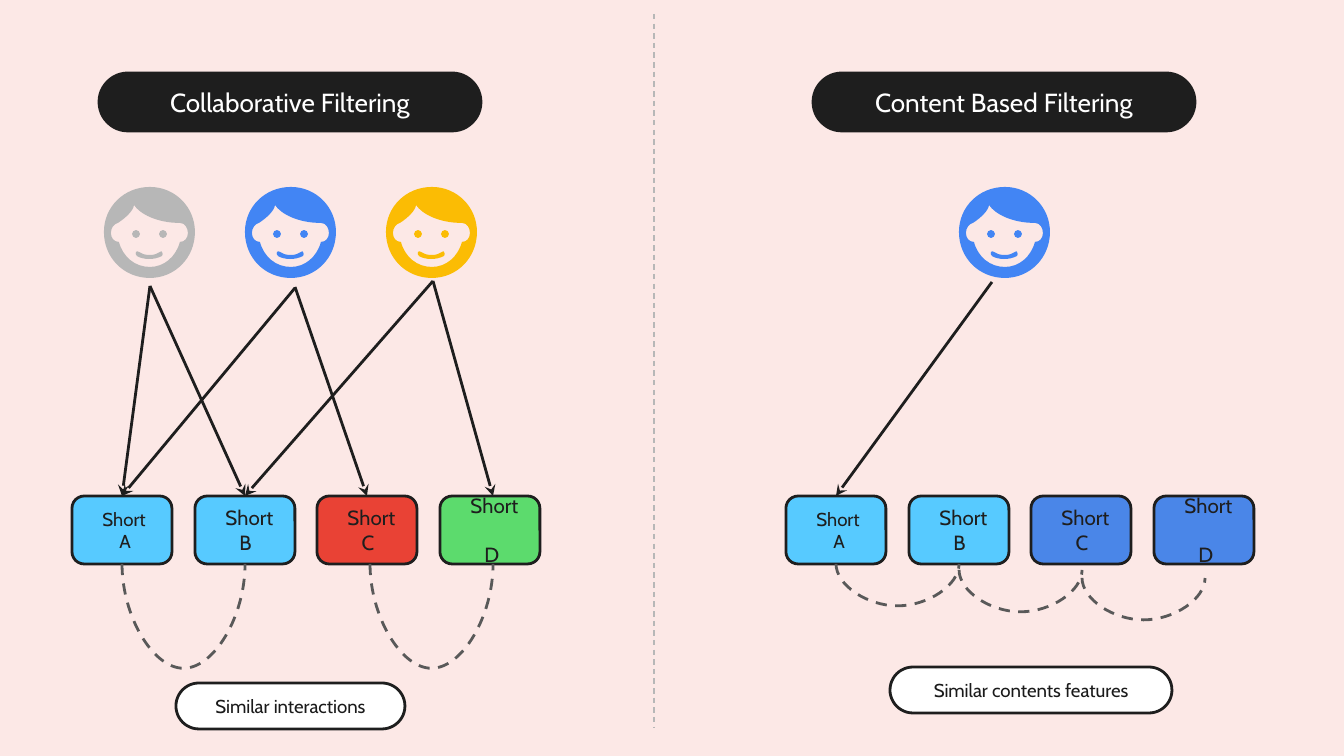
from lxml import etree
from pptx import Presentation
from pptx import util as u
from pptx.dml.color import RGBColor
from pptx.enum import dml, shapes, text
from pptx.oxml.ns import qn

SCALE = 914400 / 134.4
PANEL_SHIFT = 714
BOX_LEFT, BOX_TOP, BOX_SPREAD, BOX_WIDTH, BOX_HEIGHT = 72, 496, 368, 100, 68
FACE_LEFT, FACE_TOP, FACE_STEP, ARC_WIDTH = 104, 187, 141, 123
COLORS = {
    "page": "FCE8E6", "ink": "1E1E1E", "label": "1A1A1A", "white": "FFFFFF",
    "gray": "B7B7B7", "dash": "595959", "blue": "4285F4", "yellow": "FBBC04",
    "sky": "57CAFF", "red": "E94235", "green": "5CDB6D", "royal": "4A86E8",
}
# Each outline is a start point followed by the points of joined cubic curves.
HEAD = [(46, 0), (20, 0), (0, 20), (0, 45), (0, 71), (20, 91), (46, 91),
        (71, 91), (91, 71), (91, 45), (91, 20), (71, 0), (46, 0)]
SKIN = [(76, 55), (72, 70), (60, 80), (46, 80), (31, 80), (19, 70), (15, 55),
        (10, 55), (7, 51), (7, 46), (7, 41), (10, 37), (14, 36),
        (22, 31), (30, 23), (30, 18), (36, 27), (53, 36), (76, 36),
        (81, 36), (84, 41), (84, 46), (84, 51), (81, 55), (76, 55)]
SMILE = [(56, 65), (53, 67), (50, 68), (46, 68), (41, 68), (38, 67), (35, 65),
         (34, 64), (33, 64), (32, 65), (31, 66), (32, 68), (33, 69),
         (36, 71), (41, 72), (45, 72), (50, 72), (54, 71), (58, 69),
         (59, 68), (59, 66), (58, 65), (58, 64), (57, 64), (56, 65)]
LEFT_EYE = [(36, 47), (36, 49), (34, 51), (32, 51), (30, 51), (28, 49), (28, 47),
            (28, 45), (30, 43), (32, 43), (34, 43), (36, 45), (36, 47)]
RIGHT_EYE = [(x + 27, y) for x, y in LEFT_EYE]


def px(value):
    """Turn pixels into EMU."""
    return u.Emu(round(value * SCALE))


def rgb(name):
    """Look up a named colour."""
    return RGBColor.from_string(COLORS[name])


def write(box, lines, size=10, color="ink", align=None, inset=13, indent=0, gap=0):
    """Fill a shape with lines; indent and gap apply after the first line."""
    frame = box.text_frame
    frame.word_wrap = True
    frame.vertical_anchor = text.MSO_ANCHOR.MIDDLE
    frame.margin_left = px(inset)
    frame.margin_right = frame.margin_top = frame.margin_bottom = px(13)
    for index, line in enumerate(lines):
        para = frame.paragraphs[0] if index == 0 else frame.add_paragraph()
        para.alignment = align or text.PP_ALIGN.LEFT
        if index:
            para.space_before = u.Pt(gap)
            para._p.get_or_add_pPr().set("marL", str(px(indent)))
        span = para.add_run()
        span.text = line
        span.font.name, span.font.size = "Cabin", u.Pt(size)
        span.font.color.rgb = rgb(color)


def add_round_box(page, left, top, width, height, fill, radius):
    """Add an outlined rounded rectangle."""
    box = page.shapes.add_shape(shapes.MSO_SHAPE.ROUNDED_RECTANGLE,
                                px(left), px(top), px(width), px(height))
    box.adjustments[0] = radius
    box.shadow.inherit = False
    box.fill.solid()
    box.fill.fore_color.rgb = rgb(fill)
    box.line.color.rgb = rgb("ink")
    box.line.width = u.Pt(1.5)
    return box


def add_pill(page, left, top, width, height, label, fill, **style):
    """Add a fully rounded box with a centred label."""
    box = add_round_box(page, left, top, width, height, fill, 0.5)
    write(box, [label], align=text.PP_ALIGN.CENTER, **style)


def add_shorts(page, shift, fills):
    """Add the row of lettered video boxes."""
    row = []
    for index, (letter, fill) in enumerate(zip("ABCD", fills)):
        left = BOX_LEFT + shift + round(index * BOX_SPREAD / 3)
        box = add_round_box(page, left, BOX_TOP, BOX_WIDTH, BOX_HEIGHT, fill, 0.18)
        write(box, ["Short", letter], size=10 if letter == "A" else 11, inset=27,
              indent=17 if letter == "A" else 14, gap=13 if letter == "D" else 0)
        row.append(box)
    return row


def add_curved(group, left, outlines, color):
    """Add one filled shape whose outlines are joined cubic curves."""
    first, *holes = [[(px(left + x), px(FACE_TOP + y)) for x, y in points]
                     for points in outlines]
    builder = group.shapes.build_freeform(*first[0], scale=1.0)
    builder.add_line_segments(first[1:], close=True)
    for hole in holes:
        builder.move_to(*hole[0])
        builder.add_line_segments(hole[1:], close=True)
    shape = builder.convert_to_shape()
    segments = list(shape._element.iter(qn("a:lnTo")))
    for index in range(0, len(segments), 3):
        curve = etree.Element(qn("a:cubicBezTo"))
        segments[index].addprevious(curve)
        for segment in segments[index:index + 3]:
            curve.append(segment[0])
            segment.getparent().remove(segment)
    shape.shadow.inherit = False
    shape.fill.solid()
    shape.fill.fore_color.rgb = rgb(color)
    shape.line.fill.background()


def add_face(page, left, color):
    """Add a grouped user icon."""
    group = page.shapes.add_group_shape()
    for outlines in ([SMILE], [LEFT_EYE], [HEAD, SKIN], [RIGHT_EYE]):
        add_curved(group, left, outlines, color)


def add_line(page, start, end, color="ink", width=1.5, dashed=False,
             kind=shapes.MSO_CONNECTOR.STRAIGHT):
    """Add a connector between two points."""
    line = page.shapes.add_connector(kind, *map(px, start + end))
    line.line.color.rgb = rgb(color)
    line.line.width = u.Pt(width)
    if dashed:
        line.line.dash_style = dml.MSO_LINE.DASH
    etree.SubElement(line._element.spPr, qn("a:effectLst"))
    return line


def add_arrow(page, start, end, box=None):
    """Add an arrow, joined to the top of a box if one is given."""
    line = add_line(page, start, end)
    if box is not None:
        line.end_connect(box, 0)
    etree.SubElement(line.line._get_or_add_ln(), qn("a:tailEnd"), type="stealth")


def add_arc(page, left, top, depth):
    """Add a dashed curve that hangs below two neighbouring boxes."""
    line = add_line(page, (left, top), (left + ARC_WIDTH, top), "dash", dashed=True,
                    kind=shapes.MSO_CONNECTOR.CURVE)
    thickness, span = 600, px(ARC_WIDTH)
    line.left = px(left) + (span - thickness) // 2
    line.top = px(top) - span // 2
    line.width, line.height = thickness, span
    frame = line._element.spPr.find(qn("a:xfrm"))
    frame.set("rot", "16200000")
    frame.set("flipH", "1")
    guides = line._element.spPr.find(qn("a:prstGeom")).get_or_add_avLst()
    ratio = round(px(depth) / thickness * 100000)
    etree.SubElement(guides, qn("a:gd"), name="adj1", fmla=f"val {ratio}")


def main():
    """Build the comparison of the two filtering methods."""
    deck = Presentation()
    deck.slide_width, deck.slide_height = px(1344), px(756)
    page = deck.slides.add_slide(deck.slide_layouts[6])
    page.background.fill.solid()
    page.background.fill.fore_color.rgb = rgb("page")

    for index, color in enumerate(["gray", "blue", "yellow"]):
        add_face(page, FACE_LEFT + index * FACE_STEP, color)
    add_face(page, FACE_LEFT + FACE_STEP + PANEL_SHIFT, "blue")

    interactions = add_shorts(page, 0, ["sky", "sky", "red", "green"])
    contents = add_shorts(page, PANEL_SHIFT, ["sky", "sky", "royal", "royal"])
    for start, box in [((150, 286), interactions[0]), ((295, 287), interactions[2]),
                       ((150, 286), interactions[1]), ((295, 288), interactions[0]),
                       ((433, 281), interactions[1]), ((992, 282), contents[0])]:
        add_arrow(page, start, (start[0], BOX_TOP), box)
    add_arrow(page, (433, 281), (493, BOX_TOP))

    for left, top, depth in [(122, 564, 87), (370, 564, 87),
                             (836, 564, 35), (959, 570, 35), (1082, 578, 35)]:
        add_arc(page, left, top, depth)
    add_line(page, (654, 14), (654, 728), "gray", 0.75, dashed=True)

    for shift, title in [(0, "Collaborative Filtering"), (PANEL_SHIFT, "Content Based Filtering")]:
        add_pill(page, 99 + shift, 73, 382, 58, title, "ink", size=14, color="white")
    add_pill(page, 176, 683, 229, 46, "Similar interactions", "white", color="label")
    add_pill(page, 890, 667, 282, 46, "Similar contents features", "white", color="label")
    deck.save("out.pptx")


if __name__ == "__main__":
    main()
